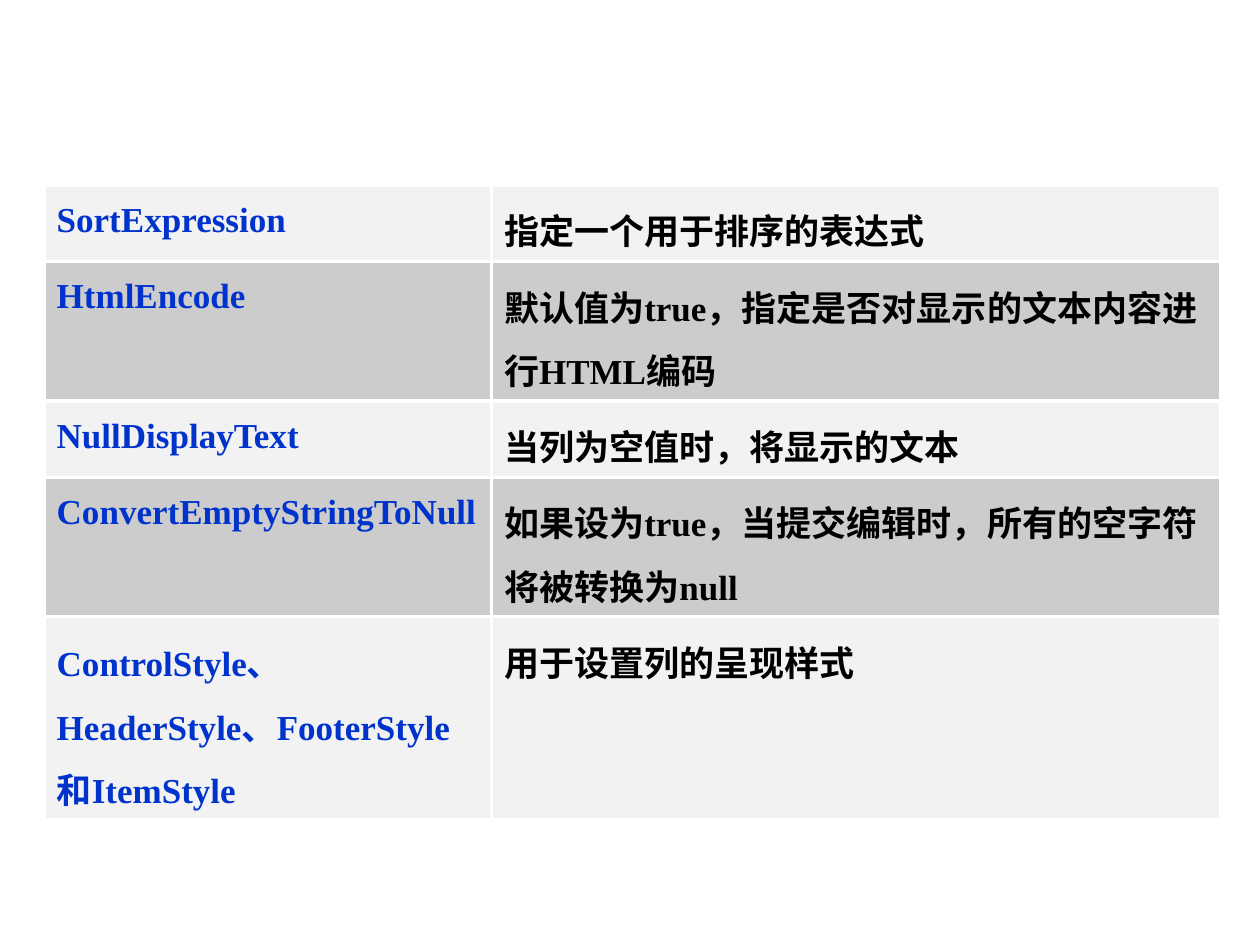
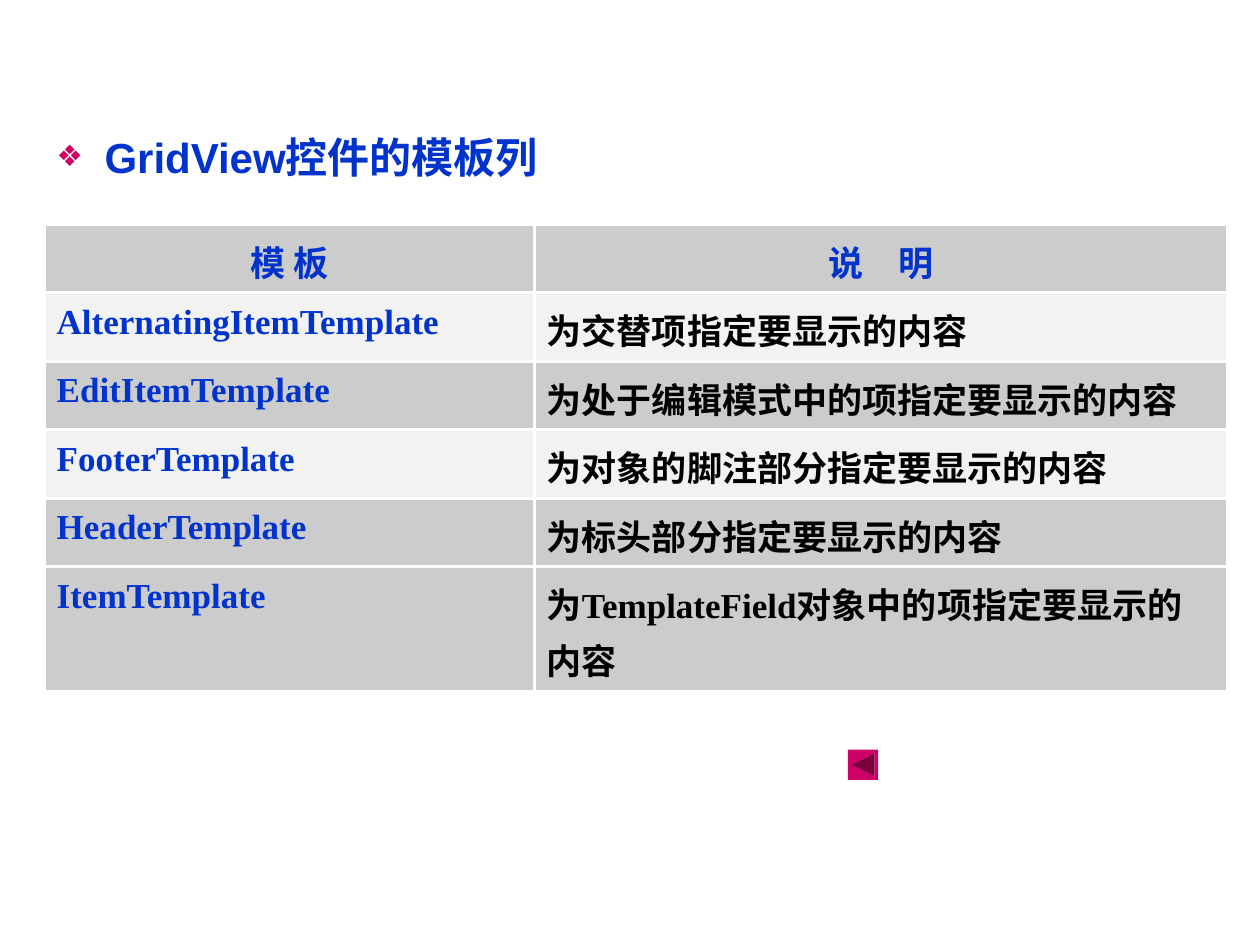
"""Build two slides on GridView column properties and template columns."""
from dataclasses import dataclass
from typing import Optional

import pptx
import pptx.dml.color
import pptx.enum.shapes
import pptx.enum.text
import pptx.oxml
import pptx.oxml.ns
import pptx.util

Inches = pptx.util.Inches
Pt = pptx.util.Pt
CENTER = pptx.enum.text.PP_ALIGN.CENTER

COLORS = {
    "term": "0033CC",
    "body": "000000",
    "light": "F2F2F2",
    "dark": "CCCCCC",
    "rule": "FFFFFF",
    "accent": "CC0066",
}
DRAWINGML = pptx.oxml.ns.nsdecls("a")
LEFT = 0.35
RULE_WIDTH = Pt(2)


@dataclass(frozen=True)
class Entry:
    term: str
    description: str
    height: float
    shade: str
    heading: bool = False


@dataclass(frozen=True)
class ReferenceTable:
    top: float
    height: float
    columns: tuple[float, float]
    line_spacing: float
    entries: tuple[Entry, ...]


PROPERTIES = ReferenceTable(1.47, 4.53, (3.55, 5.79), 1.25, (
    Entry("SortExpression", "指定一个用于排序的表达式", 0.56, "light"),
    Entry("HtmlEncode", "默认值为true，指定是否对显示的文本内容进行HTML编码", 1.02, "dark"),
    Entry("NullDisplayText", "当列为空值时，将显示的文本", 0.56, "light"),
    Entry("ConvertEmptyStringToNull",
          "如果设为true，当提交编辑时，所有的空字符将被转换为null", 1.02, "dark"),
    Entry("ControlStyle、HeaderStyle、FooterStyle和ItemStyle",
          "用于设置列的呈现样式", 1.38, "light"),
))
TEMPLATES = ReferenceTable(1.78, 2.99, (3.89, 5.5), 1.1, (
    Entry("模 板", "说　明", 0.4, "dark", heading=True),
    Entry("AlternatingItemTemplate", "为交替项指定要显示的内容", 0.25, "light"),
    Entry("EditItemTemplate", "为处于编辑模式中的项指定要显示的内容", 0.25, "dark"),
    Entry("FooterTemplate", "为对象的脚注部分指定要显示的内容", 0.25, "light"),
    Entry("HeaderTemplate", "为标头部分指定要显示的内容", 0.25, "dark"),
    Entry("ItemTemplate", "为TemplateField对象中的项指定要显示的内容", 0.25, "dark"),
))


def rgb(name: str) -> pptx.dml.color.RGBColor:
    """Return the named colour."""
    return pptx.dml.color.RGBColor.from_string(COLORS[name])


def write(frame, text: str, *, color: str, size: int = 20, font: str = "Times New Roman",
          align: Optional[pptx.enum.text.PP_ALIGN] = None,
          line_spacing: Optional[float] = None):
    """Write one bold formatted paragraph and return it."""
    frame.word_wrap = True
    paragraph = frame.paragraphs[0]
    paragraph.alignment = align
    paragraph.line_spacing = line_spacing
    run = paragraph.add_run()
    run.text = text
    run.font.name = font
    run.font.size = Pt(size)
    run.font.bold = True
    run.font.color.rgb = rgb(color)
    return paragraph


def add_bullet(paragraph, symbol: str, color: str, percent: int, indent: float) -> None:
    """Give a paragraph a coloured bullet with a hanging indent."""
    properties = paragraph._p.get_or_add_pPr()
    properties.set("marL", str(Inches(indent)))
    properties.set("indent", str(-Inches(indent)))
    for xml in (
        f'<a:buClr {DRAWINGML}><a:srgbClr val="{COLORS[color]}"/></a:buClr>',
        f'<a:buSzPct {DRAWINGML} val="{percent * 1000}"/>',
        f'<a:buFont {DRAWINGML} typeface="Arial"/>',
        f'<a:buChar {DRAWINGML} char="{symbol}"/>',
    ):
        properties.append(pptx.oxml.parse_xml(xml))


def style_cell(cell, shade: str) -> None:
    """Rule a cell on all sides and fill it."""
    properties = cell._tc.get_or_add_tcPr()
    for side in "LRTB":
        properties.append(pptx.oxml.parse_xml(
            f'<a:ln{side} {DRAWINGML} w="{RULE_WIDTH}"><a:solidFill>'
            f'<a:srgbClr val="{COLORS["rule"]}"/></a:solidFill></a:ln{side}>'))
    cell.fill.solid()
    cell.fill.fore_color.rgb = rgb(shade)


def add_reference_table(slide, reference: ReferenceTable) -> None:
    """Draw a table of terms and their descriptions."""
    graphic = slide.shapes.add_table(
        len(reference.entries), len(reference.columns), Inches(LEFT), Inches(reference.top),
        Inches(sum(reference.columns)), Inches(reference.height))
    table = graphic.table
    table.first_row = False
    table.horz_banding = False
    for column, width in zip(table.columns, reference.columns):
        column.width = Inches(width)
    for row, entry in zip(table.rows, reference.entries):
        row.height = Inches(entry.height)
        description_color = "term" if entry.heading else "body"
        for cell, text, color in zip(row.cells, (entry.term, entry.description),
                                     ("term", description_color)):
            style_cell(cell, entry.shade)
            write(cell.text_frame, text, color=color, line_spacing=reference.line_spacing,
                  align=CENTER if entry.heading else None)
    graphic.height = Inches(reference.height)


def add_topic(slide, text: str) -> None:
    """Place the bulleted topic line in the body placeholder."""
    topic = slide.placeholders[1]
    topic.left, topic.top = Inches(LEFT), Inches(0.99)
    topic.width, topic.height = Inches(9.34), Inches(0.63)
    paragraph = write(topic.text_frame, text, color="term", size=24, font="Arial")
    paragraph.space_before = Pt(0)
    add_bullet(paragraph, "❖", "accent", 70, 0.38)


def add_back_button(slide) -> None:
    """Draw the button that leads back."""
    button = slide.shapes.add_shape(
        pptx.enum.shapes.MSO_SHAPE.ACTION_BUTTON_BACK_OR_PREVIOUS,
        Inches(6.73), Inches(5.95), Inches(0.24), Inches(0.24))
    button.shadow.inherit = False
    button.fill.solid()
    button.fill.fore_color.rgb = rgb("accent")
    button.line.fill.background()


def main() -> None:
    """Build and save the presentation."""
    presentation = pptx.Presentation()
    presentation.slide_width = Inches(10)
    presentation.slide_height = Inches(7.5)
    layouts = presentation.slide_layouts

    properties_slide = presentation.slides.add_slide(layouts.get_by_name("Blank"))
    add_reference_table(properties_slide, PROPERTIES)

    templates_slide = presentation.slides.add_slide(layouts.get_by_name("Title and Content"))
    unused_title = templates_slide.shapes.title.element
    unused_title.getparent().remove(unused_title)
    add_topic(templates_slide, "GridView控件的模板列")
    add_reference_table(templates_slide, TEMPLATES)
    add_back_button(templates_slide)

    presentation.save("out.pptx")


if __name__ == "__main__":
    main()
